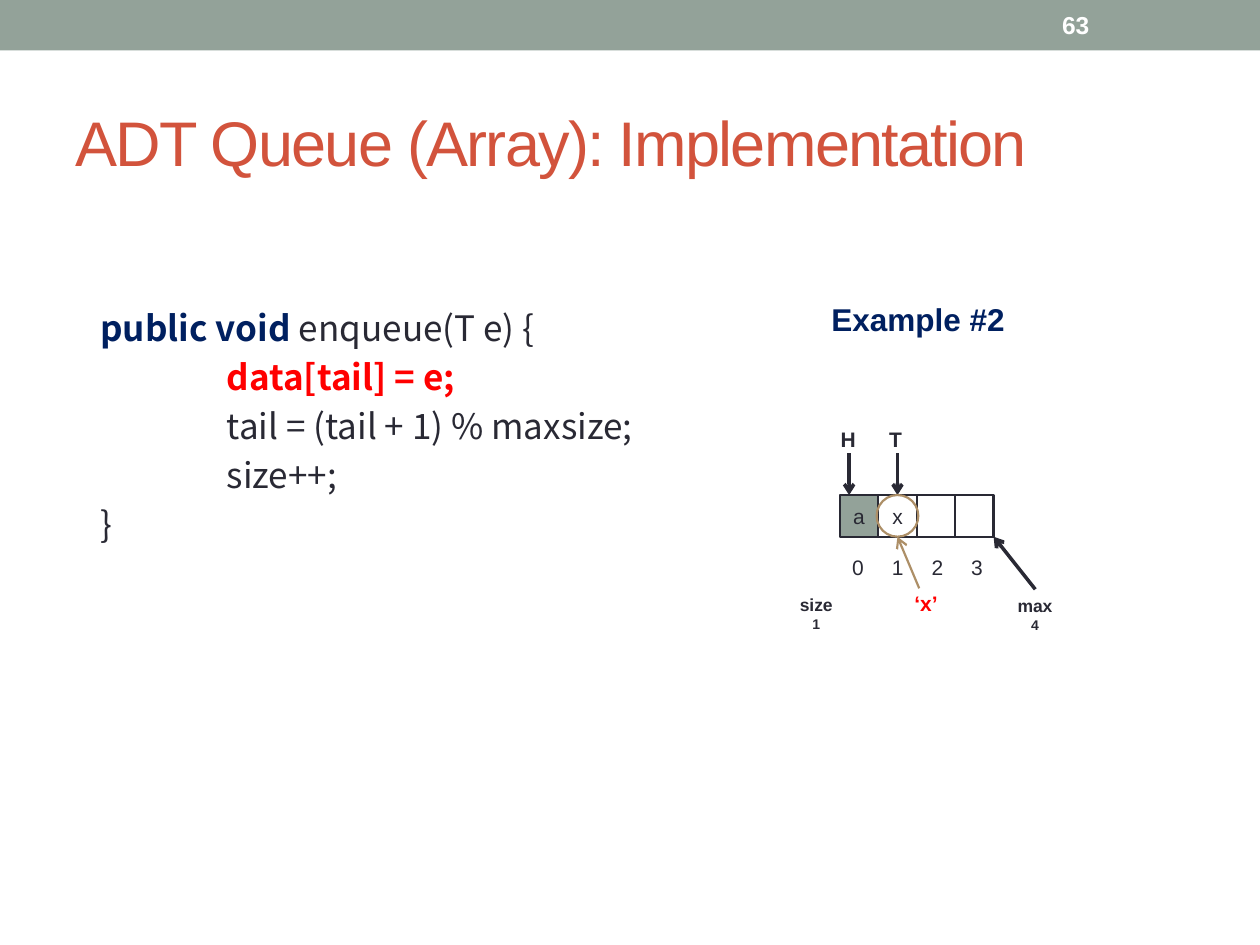
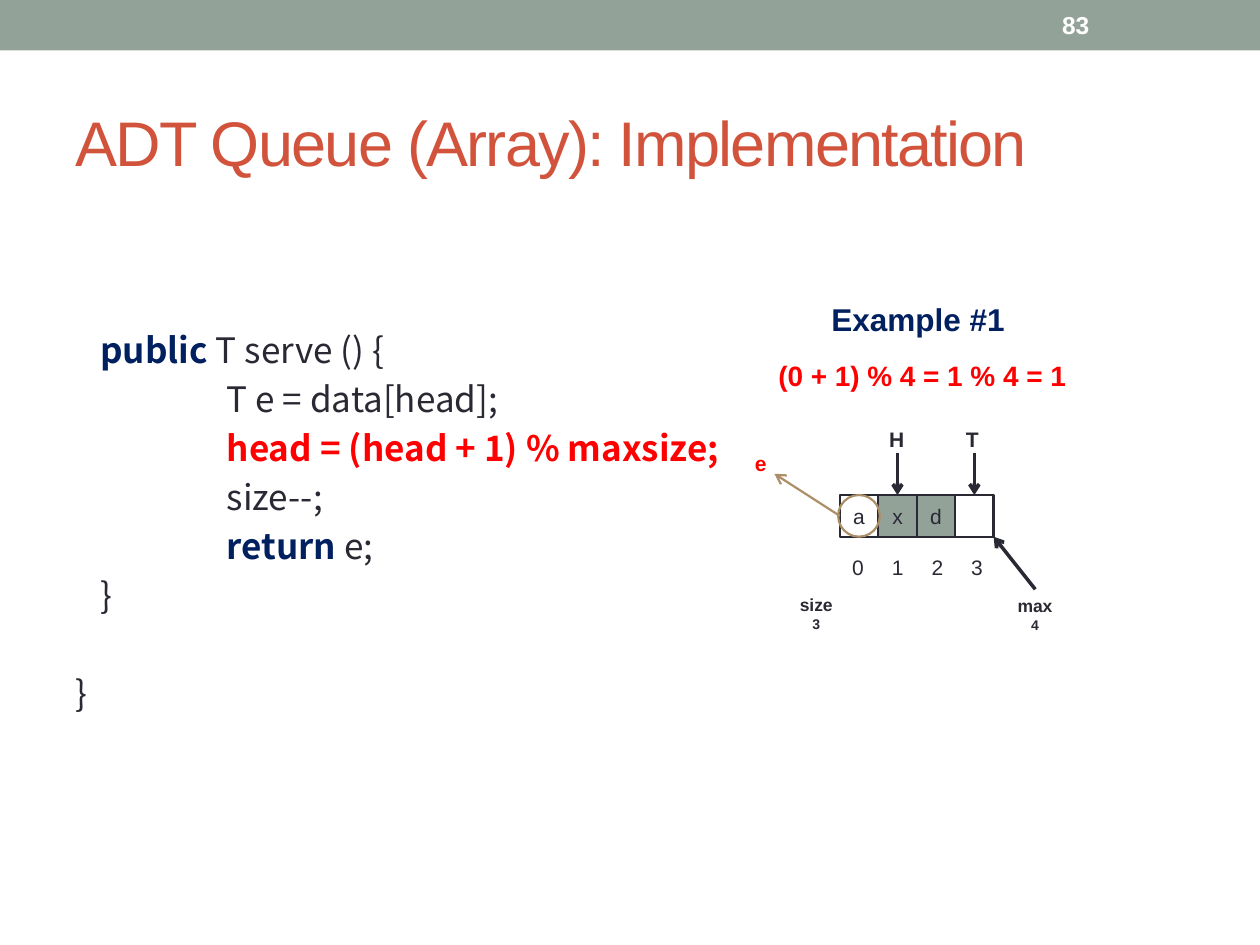
from lxml.etree import SubElement
from pptx import Presentation
from pptx.dml.color import RGBColor
from pptx.enum.shapes import MSO_CONNECTOR, MSO_SHAPE
from pptx.enum.text import MSO_ANCHOR, MSO_AUTO_SIZE, PP_ALIGN
from pptx.oxml.ns import qn
from pptx.util import Cm, Pt

SAGE = RGBColor(0x93, 0xA2, 0x99)
RUST = RGBColor(0xD2, 0x53, 0x3C)
INK = RGBColor(0x29, 0x29, 0x34)
NAVY = RGBColor(0x00, 0x20, 0x60)
RED = RGBColor(0xFF, 0x00, 0x00)
TAN = RGBColor(0xAD, 0x8F, 0x67)
WHITE = RGBColor(0xFF, 0xFF, 0xFF)

FONT = "Arial"
CODE_FONT = "Noto Sans CJK SC"
CODE_PITCH = 28
OUTER, INNER = 0.5, 3.05
ARRAY_BOX = (16.93, 9.98, 3.1, 0.84)
CAPACITY = 4


def style(p, size, color, bold=False, align=PP_ALIGN.LEFT, name=FONT):
    p.alignment = align
    p.font.name = name
    p.font.size = Pt(size)
    p.font.bold = bold
    p.font.color.rgb = color


def add_shape(s, kind, x, y, w, h, fill=None, line=None):
    sp = s.shapes.add_shape(kind, Cm(x), Cm(y), Cm(w), Cm(h))
    sp.shadow.inherit = False
    if fill is None:
        sp.fill.background()
    else:
        sp.fill.solid()
        sp.fill.fore_color.rgb = fill
    if line is None:
        sp.line.fill.background()
    else:
        sp.line.color.rgb = line
        sp.line.width = Pt(1.25)
    return sp


def add_label(s, lines, x, y, w, h, color=INK, bold=True, align=PP_ALIGN.LEFT):
    tf = s.shapes.add_textbox(Cm(x), Cm(y), Cm(w), Cm(h)).text_frame
    tf.word_wrap = False
    tf.auto_size = MSO_AUTO_SIZE.SHAPE_TO_FIT_TEXT
    for i, (text, size) in enumerate(lines):
        p = tf.add_paragraph() if i else tf.paragraphs[0]
        p.text = text
        style(p, size, color, bold, align)


def add_arrow(s, start, end, color=INK, width=2):
    c = s.shapes.add_connector(MSO_CONNECTOR.STRAIGHT, *map(Cm, start + end))
    c.line.color.rgb = color
    c.line.width = Pt(width)
    SubElement(c.line._get_or_add_ln(), qn("a:tailEnd"), type="arrow")
    SubElement(c._element.spPr, qn("a:effectLst"))
    return c


def add_frame(prs, number):
    s = prs.slides.add_slide(prs.slide_layouts[5])
    add_shape(s, MSO_SHAPE.RECTANGLE, 0, 0, 25.4, 1.02, SAGE)
    title = s.shapes.title
    title.left, title.top, title.width, title.height = map(Cm, (1.27, 1.47, 22.86, 2.74))
    tf = title.text_frame
    tf.text = "ADT Queue (Array): Implementation"
    tf.auto_size = MSO_AUTO_SIZE.NONE
    tf.vertical_anchor = MSO_ANCHOR.MIDDLE
    style(tf.paragraphs[0], 36, RUST)
    tf.paragraphs[0].runs[0]._r.get_or_add_rPr().set("spc", "-100")

    tf = s.shapes.add_textbox(Cm(21.16), Cm(0.05), Cm(2.97), Cm(0.91)).text_frame
    tf.word_wrap = True
    tf.vertical_anchor = MSO_ANCHOR.MIDDLE
    p = tf.paragraphs[0]
    p.text = number
    style(p, 14, WHITE, True)
    return s


def add_code(s, lines, x, y, w, h):
    tf = s.shapes.add_textbox(Cm(x), Cm(y), Cm(w), Cm(h)).text_frame
    tf.word_wrap = True
    for i, (indent, runs) in enumerate(lines):
        p = tf.add_paragraph() if i else tf.paragraphs[0]
        p._p.get_or_add_pPr().set("marL", str(Cm(indent)))
        p.line_spacing = Pt(CODE_PITCH)
        p.space_before = Pt(0)
        style(p, 20, INK, name=CODE_FONT)
        for text, color in runs:
            r = p.add_run()
            r.text = text
            r.font.color.rgb = color
            r.font.bold = color != INK
    return tf


def add_array(s, x, y, w, h, values, filled, pointers, size, circled):
    step = w / CAPACITY
    cells = []
    for i, value in enumerate(values):
        cell = add_shape(s, MSO_SHAPE.RECTANGLE, x + i * step, y, step, h,
                         SAGE if i in filled else WHITE, INK)
        tf = cell.text_frame
        tf.margin_left = tf.margin_right = 0
        tf.vertical_anchor = MSO_ANCHOR.MIDDLE
        if value:
            tf.text = value
            style(tf.paragraphs[0], 12, INK, align=PP_ALIGN.CENTER)
        cells.append(cell)
        add_label(s, [(str(i), 12)], x + i * 0.8, y + 1.07, 0.79, 0.76, bold=False)

    for name, i, shift in pointers:
        tip = x + (i + 0.5) * step + shift
        add_label(s, [(name, 12)], tip - 0.42, y - 1.5, 0.8, 0.76)
        arrow = add_arrow(s, (tip, y - 0.84), (tip, y))
        if not shift:
            arrow.end_connect(cells[i], 0)

    add_label(s, [("size", 10), (size, 8)], x - 1.07, y + 1.88, 1.19, 1.02,
              align=PP_ALIGN.CENTER)
    add_label(s, [("max", 10), (str(CAPACITY), 8)], x + 3.3, y + 1.9, 1.27, 1.02,
              align=PP_ALIGN.CENTER)
    add_arrow(s, (x + 3.94, y + 1.9), (x + w, y + h))
    add_shape(s, MSO_SHAPE.OVAL, x + (circled + 0.5) * step - h / 2, y, h, h, line=TAN)
    return cells


def add_heading(s, text):
    add_label(s, [(text, 18)], 16.51, 5.92, 4.17, 1.02, NAVY)


def enqueue_slide(prs):
    s = add_frame(prs, "63")
    add_code(s, [
        (OUTER, [("public void ", NAVY), ("enqueue(T e) {", INK)]),
        (INNER, [("data[tail] = e;", RED)]),
        (INNER, [("tail = (tail + 1) % maxsize;", INK)]),
        (INNER, [("size++;", INK)]),
        (OUTER, [("}", INK)]),
    ], 1.27, 5.92, 14.5, 5.2)
    add_heading(s, "Example #2")
    cells = add_array(s, *ARRAY_BOX, ["a", "x", "", ""], {0},
                      [("H", 0, -0.2), ("T", 1, 0)], "1", 1)
    x, y, w, h = ARRAY_BOX
    add_label(s, [("‘x’", 12)], x + 1.22, y + 1.8, 1.04, 0.76, RED,
              align=PP_ALIGN.CENTER)
    arrow = add_arrow(s, (x + 1.6, y + 1.88), (x + 1.16, y + h), TAN, 1.25)
    arrow.end_connect(cells[1], 2)


def serve_slide(prs):
    s = add_frame(prs, "83")
    tf = add_code(s, [
        (OUTER, [("public ", NAVY), ("T serve () {", INK)]),
        (INNER, [("T e = data[head];", INK)]),
        (INNER, [("head = (head + 1) % maxsize;", RED)]),
        (INNER, [("size--;", INK)]),
        (INNER, [("return ", NAVY), ("e;", INK)]),
        (OUTER, [("}", INK)]),
        (0, [("}", INK)]),
    ], 1.27, 6.35, 14.5, 8.2)
    tf.paragraphs[-1].space_before = Pt(CODE_PITCH)
    add_heading(s, "Example #1")
    add_label(s, [("(0 + 1) % 4 = 1 % 4 = 1", 16)], 15.44, 7.11, 7.01, 0.94, RED)
    cells = add_array(s, *ARRAY_BOX, ["a", "x", "d", ""], {1, 2},
                      [("H", 1, 0), ("T", 3, 0)], "3", 0)
    x, y, w, h = ARRAY_BOX
    add_label(s, [("e", 12)], x - 1.96, y - 1.02, 0.75, 0.76, RED)
    arrow = add_arrow(s, (x, y + h / 2), (x - 1.32, y - 0.43), TAN, 1.25)
    arrow.begin_connect(cells[0], 1)


def main():
    prs = Presentation()
    prs.slide_width, prs.slide_height = Cm(25.4), Cm(19.05)
    enqueue_slide(prs)
    serve_slide(prs)
    prs.save("out.pptx")


if __name__ == "__main__":
    main()
